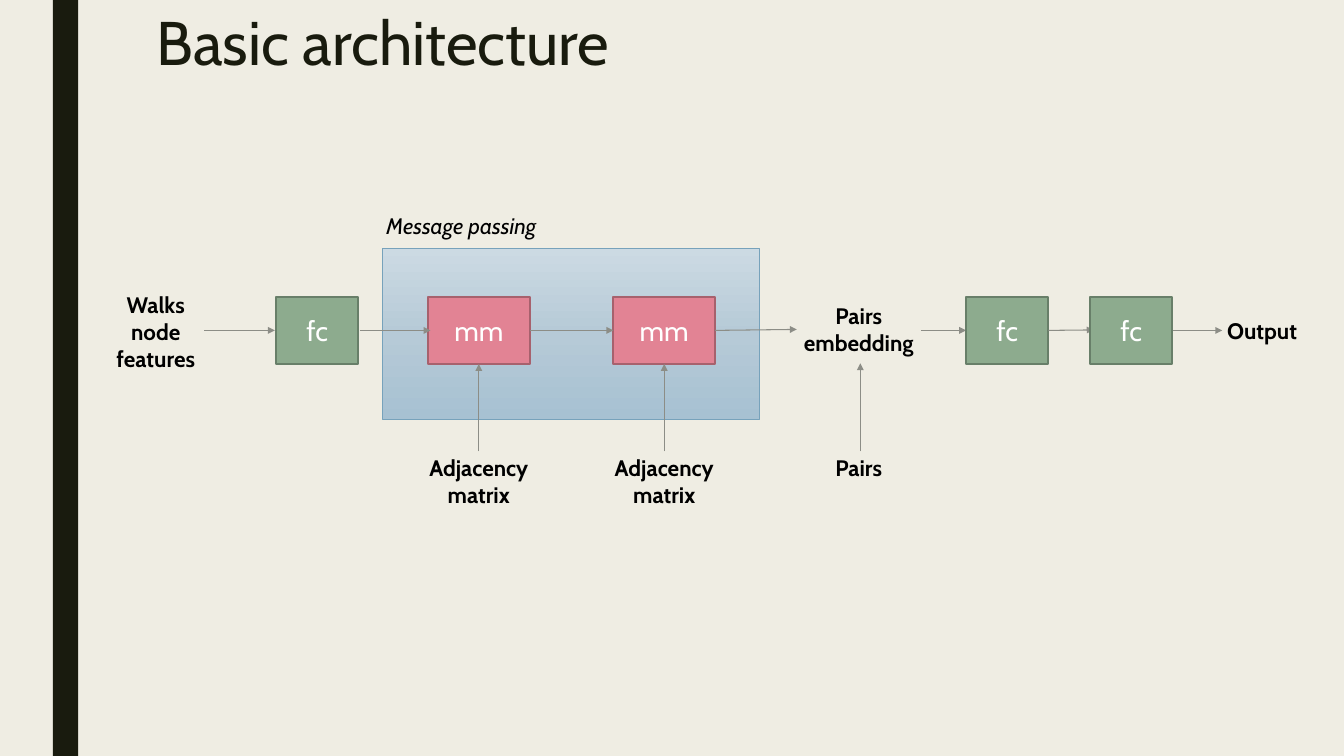
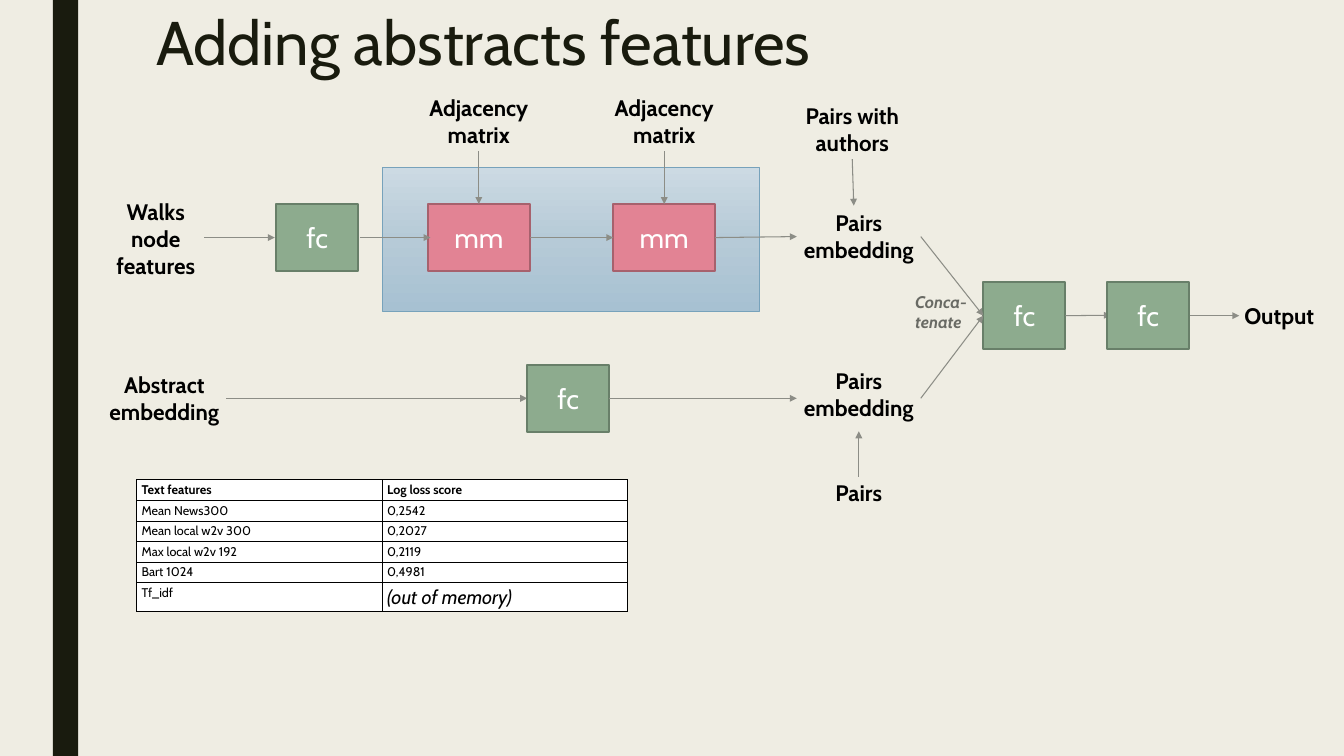
from copy import deepcopy

from lxml.etree import SubElement
from pptx import Presentation
from pptx.dml.color import RGBColor
from pptx.enum.shapes import MSO_CONNECTOR, MSO_SHAPE
from pptx.enum.text import MSO_ANCHOR, MSO_AUTO_SIZE, PP_ALIGN
from pptx.oxml.ns import qn
from pptx.util import Pt

FONT = "Cabin"
BACKGROUND = RGBColor(0xEF, 0xED, 0xE3)
DARK = RGBColor(0x19, 0x1B, 0x0E)
BLACK = RGBColor(0, 0, 0)
WHITE = RGBColor(0xFF, 0xFF, 0xFF)
GREY = RGBColor(0x69, 0x6A, 0x64)
ARROW = RGBColor(0x8C, 0x8D, 0x86)
GREEN = RGBColor(0x8D, 0xAB, 0x8E)
GREEN_EDGE = RGBColor(0x68, 0x7F, 0x69)
PINK = RGBColor(0xE2, 0x83, 0x94)
PINK_EDGE = RGBColor(0xA7, 0x61, 0x6D)
PANEL_EDGE = RGBColor(0x77, 0xA2, 0xBB)
PANEL_STOPS = [
    (0, RGBColor(0xCC, 0xDA, 0xE3)),
    (0.5, RGBColor(0xB6, 0xCA, 0xD7)),
    (1, RGBColor(0xA7, 0xC1, 0xD2)),
]

BLOCK_H = 95.8
FC_W = 117.4
MM_W = 145.4
MM_LEFTS = (611.3, 876.2)
FC_LEFT = 394.6
PAIRS_LEFT = 1138.3
PAIRS_W = 177.1

SCORES = [
    ("Text features", "Log loss score"),
    ("Mean News300", "0,2542"),
    ("Mean local w2v 300", "0,2027"),
    ("Max local w2v 192", "0,2119"),
    ("Bart 1024", "0,4981"),
    ("Tf_idf", "(out of memory)"),
]


def write(p, text, size, color, bold=False, italic=False):
    """Add one formatted run to a paragraph."""
    r = p.add_run()
    r.text = text
    r.font.name = FONT
    r.font.size = Pt(size)
    r.font.bold = bold
    r.font.italic = italic
    r.font.color.rgb = color


def add_label(s, x, y, w, h, *lines, size=32, color=BLACK, bold=True,
              italic=False, align=PP_ALIGN.CENTER):
    """Add a wrapping text box with one paragraph per line."""
    tf = s.shapes.add_textbox(Pt(x), Pt(y), Pt(w), Pt(h)).text_frame
    tf.word_wrap = True
    for i, line in enumerate(lines):
        p = tf.add_paragraph() if i else tf.paragraphs[0]
        p.alignment = align
        write(p, line, size, color, bold, italic)


def add_rect(s, x, y, w, h):
    """Add a rectangle without shadow."""
    sp = s.shapes.add_shape(MSO_SHAPE.RECTANGLE, Pt(x), Pt(y), Pt(w), Pt(h))
    sp.shadow.inherit = False
    return sp


def add_block(s, x, cy, w, text, fill, edge):
    """Add a layer block centred on the height cy."""
    sp = add_rect(s, x, cy - BLOCK_H / 2, w, BLOCK_H)
    sp.fill.solid()
    sp.fill.fore_color.rgb = fill
    sp.line.color.rgb = edge
    sp.line.width = Pt(2.75)
    tf = sp.text_frame
    tf.vertical_anchor = MSO_ANCHOR.MIDDLE
    p = tf.paragraphs[0]
    p.alignment = PP_ALIGN.CENTER
    write(p, text, 40, WHITE)


def add_fc(s, x, cy):
    """Add a fully connected layer."""
    add_block(s, x, cy, FC_W, "fc", GREEN, GREEN_EDGE)


def add_arrow(s, x1, y1, x2, y2):
    """Add a thin arrow from the first point to the second."""
    line = s.shapes.add_connector(MSO_CONNECTOR.STRAIGHT, Pt(x1), Pt(y1), Pt(x2), Pt(y2))
    line.line.color.rgb = ARROW
    line.line.width = Pt(1.5)
    sp_pr = line.element.spPr
    SubElement(sp_pr.find(qn("a:ln")), qn("a:tailEnd"), type="triangle", w="lg", len="lg")
    SubElement(sp_pr, qn("a:effectLst"))


def add_panel(s, x, y, w, h):
    """Add the shaded message passing panel."""
    sp = add_rect(s, x, y, w, h)
    sp.line.color.rgb = PANEL_EDGE
    sp.line.width = Pt(0.5)
    sp.fill.gradient()
    sp.fill.gradient_angle = 270
    stops = sp.element.spPr.find(qn("a:gradFill")).find(qn("a:gsLst"))
    stops.insert(1, deepcopy(stops[0]))
    for stop, (position, color) in zip(sp.fill.gradient_stops, PANEL_STOPS):
        stop.position = position
        stop.color.rgb = color


def add_pairs_embedding(s, cy):
    """Add the pairs embedding label around the height cy."""
    add_label(s, PAIRS_LEFT, cy - 43.6, PAIRS_W, 85, "Pairs embedding")


def add_graph_branch(s, cy, panel_top, panel_h, matrix_top, stem_start, stem_end):
    """Draw the walks branch along cy, with the adjacency inputs."""
    add_panel(s, 545.8, panel_top, 539.3, panel_h)
    add_label(s, 146.2, cy - 59.4, 152.6, 123.8, "Walks node features")
    for x in MM_LEFTS:
        add_block(s, x, cy, MM_W, "mm", PINK, PINK_EDGE)
        middle = x + MM_W / 2
        add_label(s, middle - 127.4, matrix_top, 254.9, 85, "Adjacency", "matrix")
        add_arrow(s, middle, stem_start, middle, stem_end)
    add_fc(s, FC_LEFT, cy)
    add_pairs_embedding(s, cy)
    add_arrow(s, 291.6, cy, 392.6, cy)
    add_arrow(s, 514, cy, 615, cy)
    add_arrow(s, MM_LEFTS[0] + MM_W, cy, MM_LEFTS[1], cy)
    add_arrow(s, MM_LEFTS[1] + MM_W, cy, PAIRS_LEFT, cy - 1.4)


def add_output_head(s, x, cy):
    """Draw the two final layers and the output from x along cy."""
    add_fc(s, x, cy)
    add_arrow(s, x + FC_W, cy, x + 182.2, cy - 0.7)
    add_fc(s, x + 177.1, cy)
    add_arrow(s, x + 294.9, cy, x + 365.8, cy)
    add_label(s, x + 365.8, cy - 23, 117.4, 46, "Output", align=PP_ALIGN.LEFT)


def add_abstract_branch(s, cy):
    """Draw the abstract embedding branch along cy."""
    add_label(s, 146.2, cy - 42, PAIRS_W, 85, "Abstract embedding")
    add_arrow(s, 323.3, cy, 753.1, cy)
    add_fc(s, 753.1, cy)
    add_arrow(s, 870.5, cy, PAIRS_LEFT, cy)
    add_label(s, PAIRS_LEFT, cy - 47.8, PAIRS_W, 85, "Pairs embedding")
    add_arrow(s, 1226.9, cy + 112, 1226.9, cy + 47.2)
    add_label(s, PAIRS_LEFT, cy + 112, PAIRS_W, 46, "Pairs")


def add_score_table(s, x, y, w, row_h):
    """Add the bordered table of log loss scores."""
    table = s.shapes.add_table(len(SCORES), 2, Pt(x), Pt(y), Pt(w), Pt(row_h * len(SCORES))).table
    table.horz_banding = False
    for i, row in enumerate(SCORES):
        for j, text in enumerate(row):
            cell = table.cell(i, j)
            tc_pr = cell._tc.get_or_add_tcPr()
            for side in ("a:lnL", "a:lnR", "a:lnT", "a:lnB"):
                ln = SubElement(tc_pr, qn(side), w=str(Pt(1)))
                SubElement(SubElement(ln, qn("a:solidFill")), qn("a:srgbClr"), val=str(BLACK))
            cell.fill.solid()
            cell.fill.fore_color.rgb = WHITE
            note = text.startswith("(")
            write(cell.text_frame.paragraphs[0], text, 28 if note else 18, BLACK,
                  bold=i == 0, italic=note)


def add_titled_slide(prs, title):
    """Add a title-only slide with its formatted title."""
    s = prs.slides.add_slide(prs.slide_layouts[5])
    sp = s.shapes.title
    sp.left, sp.top, sp.width, sp.height = Pt(216), Pt(-0.7), Pt(1512), Pt(131.8)
    tf = sp.text_frame
    tf.auto_size = MSO_AUTO_SIZE.NONE
    tf.vertical_anchor = MSO_ANCHOR.MIDDLE
    p = tf.paragraphs[0]
    p.alignment = PP_ALIGN.LEFT
    p.line_spacing = 0.89
    write(p, title, 88, DARK)
    return s


def style_master(prs, s):
    """Give the master its background and dark side band."""
    master = prs.slide_master
    master.background.fill.solid()
    master.background.fill.fore_color.rgb = BACKGROUND
    band = add_rect(s, 75.6, 0, 36, 1080)
    band.fill.solid()
    band.fill.fore_color.rgb = DARK
    band.line.fill.background()
    master.shapes.element.insert(2, band.element)


def build_basic(s):
    """Draw the basic architecture."""
    cy = 472
    add_graph_branch(s, cy, 355, 244, 645, 645, cy + BLOCK_H / 2)
    add_label(s, 545, 299.5, 287.3, 46, "Message passing", bold=False, italic=True,
              align=PP_ALIGN.LEFT)
    add_label(s, PAIRS_LEFT, 645, PAIRS_W, 46, "Pairs")
    add_arrow(s, 1229, 645, 1229, 519)
    add_arrow(s, PAIRS_LEFT + PAIRS_W, cy, 1380.2, cy)
    add_output_head(s, 1380.2, cy)


def build_abstracts(s):
    """Draw the architecture with abstracts and its scores."""
    cy, abstract_cy, head_x, head_cy = 339.4, 569, 1404.7, 451
    add_graph_branch(s, cy, 239, 205.2, 131, 216, cy - BLOCK_H / 2)
    add_label(s, 1129, 142.6, PAIRS_W, 85, "Pairs with authors")
    add_arrow(s, 1217.5, 227.5, 1219.7, 293.8)
    add_output_head(s, head_x, head_cy)
    add_abstract_branch(s, abstract_cy)
    for y in (abstract_cy, cy - 1.4):
        add_arrow(s, PAIRS_LEFT + PAIRS_W, y, head_x, head_cy)
    add_label(s, 1300.3, 412.6, 91.4, 65.5, "Conca-tenate", size=24, color=GREY,
              italic=True, align=PP_ALIGN.LEFT)
    add_score_table(s, 195.1, 685.4, 701.3, 29.4)


def main():
    """Build and save the presentation."""
    prs = Presentation()
    prs.slide_width, prs.slide_height = Pt(1920), Pt(1080)
    basic = add_titled_slide(prs, "Basic architecture")
    style_master(prs, basic)
    build_basic(basic)
    build_abstracts(add_titled_slide(prs, "Adding abstracts features"))
    prs.save("out.pptx")


if __name__ == "__main__":
    main()
